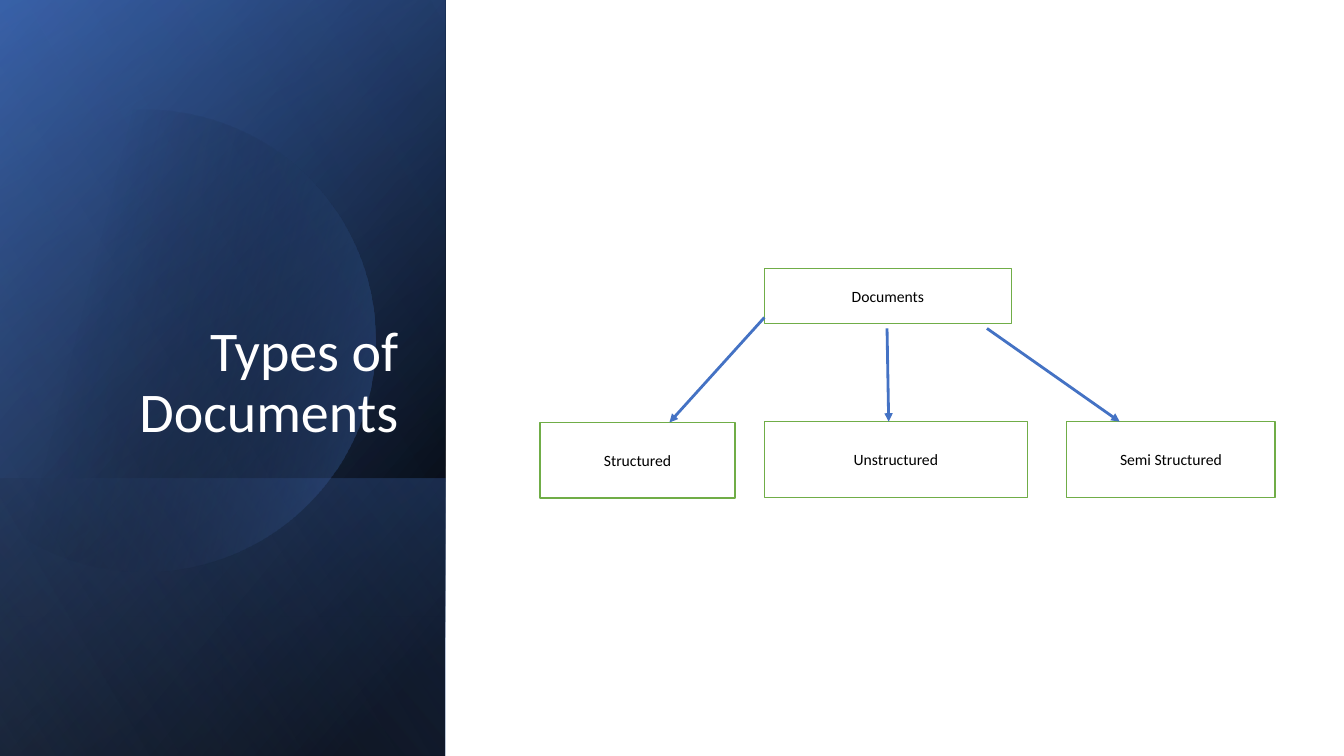
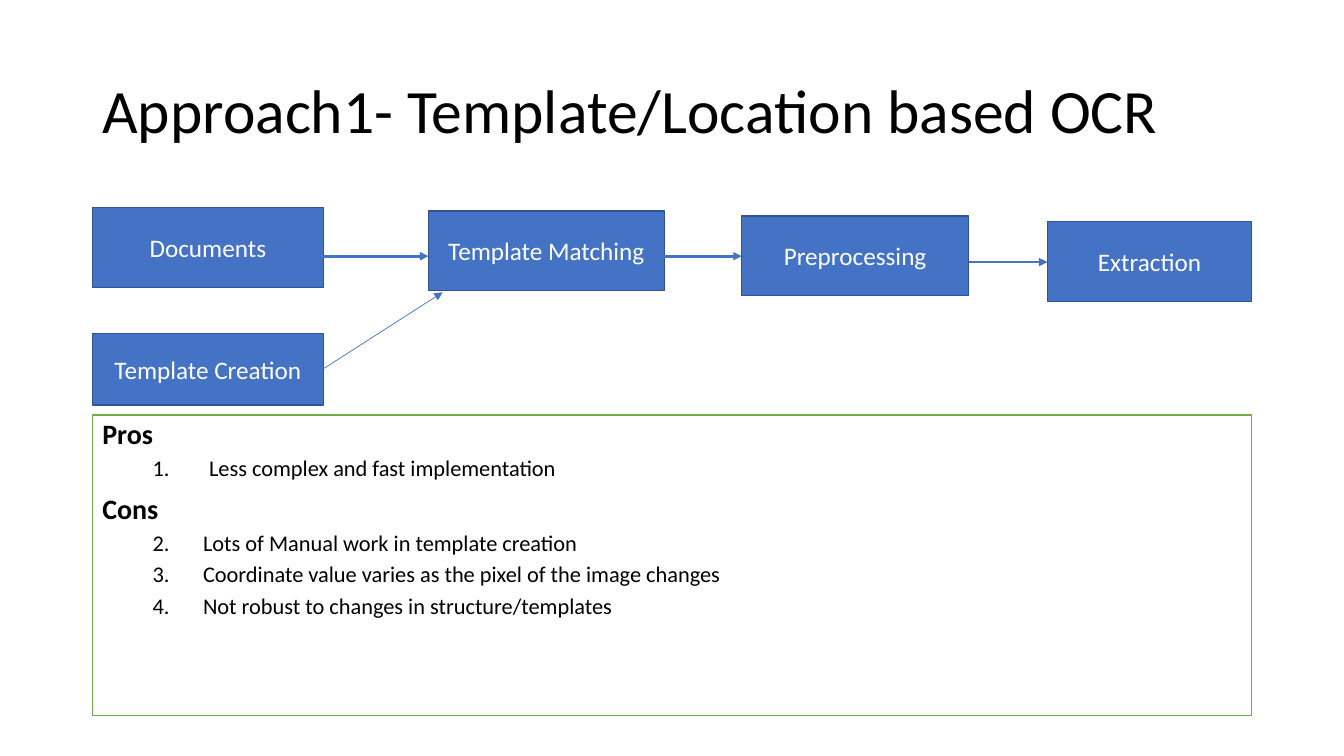
from math import acos, cos, sin

from lxml.etree import SubElement
from pptx import Presentation
from pptx.dml.color import RGBColor
from pptx.enum.shapes import MSO_CONNECTOR, MSO_SHAPE
from pptx.enum.text import MSO_ANCHOR as Anchor, PP_ALIGN as Align
from pptx.oxml.ns import qn
from pptx.util import Inches, Pt

COLORS = {
    "white": "FFFFFF",
    "black": "000000",
    "blue": "4472C4",
    "navy": "2F5597",
    "sky": "8FAADC",
    "edge": "325491",
    "green": "70AD47",
}
FONT = "Calibri"
COLUMNS, ROWS = 160, 90
CELL = Inches(7.5) / ROWS


def cells(*counts):
    return [round(count * CELL) for count in counts]


def rgb(name):
    return RGBColor.from_string(COLORS[name])


class Deck:
    def __init__(self):
        self.prs = Presentation()
        self.prs.slide_width, self.prs.slide_height = cells(COLUMNS, ROWS)
        self.shapes = None

    def new_slide(self):
        self.shapes = self.prs.slides.add_slide(self.prs.slide_layouts[6]).shapes

    def add_text(self, paragraph, text, size, color="black", bold=False):
        run = paragraph.add_run()
        run.text = text
        run.font.name = FONT
        run.font.size = Pt(size)
        run.font.bold = bold
        run.font.color.rgb = rgb(color)

    def title(self, text, area, size, color, align, anchor):
        frame = self.shapes.add_textbox(*cells(*area)).text_frame
        frame.word_wrap = True
        frame.vertical_anchor = anchor
        heading = frame.paragraphs[0]
        heading.alignment = align
        heading.line_spacing = 0.9
        self.add_text(heading, text, size, color)

    def rect(self, area, fill, edge):
        shape = self.shapes.add_shape(MSO_SHAPE.RECTANGLE, *cells(*area))
        shape.shadow.inherit = False
        shape.fill.solid()
        shape.fill.fore_color.rgb = rgb(fill)
        shape.line.color.rgb = rgb(edge)
        shape.line.width = Pt(1)
        return shape

    def box(self, text, area, fill, edge, size, color, after=0):
        frame = self.rect(area, fill, edge).text_frame
        frame.word_wrap = True
        frame.vertical_anchor = Anchor.MIDDLE
        label = frame.paragraphs[0]
        label.alignment = Align.CENTER
        label.space_after = Pt(after)
        self.add_text(label, text, size, color)

    def outlined(self, text, area):
        self.box(text, area, "white", "green", 11.2, "black", after=6)

    def solid(self, text, area):
        self.box(text, area, "blue", "edge", 18, "white")

    def gradient(self, shape, angle, stops):
        shape.shadow.inherit = False
        shape.line.fill.background()
        shape.fill.gradient()
        shape.fill.gradient_angle = 360 - angle
        for stop, (position, color, _) in zip(shape.fill.gradient_stops, stops):
            stop.position = position / 100
            stop.color.rgb = rgb(color)
        tints = shape._element.spPr.find(qn("a:gradFill")).iter(qn("a:srgbClr"))
        for tint, (_, _, opacity) in zip(tints, stops):
            SubElement(tint, qn("a:alpha"), val=str(opacity * 1000))

    def shade(self, area, angle, *stops):
        left, top, width, height = area
        turned = (left + (width - height) / 2, top + (height - width) / 2, height, width)
        shape = self.shapes.add_shape(MSO_SHAPE.RECTANGLE, *cells(*turned))
        shape.rotation = 90
        shape._element.spPr.find(qn("a:xfrm")).set("flipH", "1")
        self.gradient(shape, angle, stops)

    def cut_disc(self, x, y, radius, cut, angle, *stops):
        end = acos((cut - x) / radius)
        steps = 120
        turns = [end * (2 * step / steps - 1) for step in range(steps + 1)]
        rim = [cells(x + radius * cos(turn), y + radius * sin(turn)) for turn in turns]
        outline = self.shapes.build_freeform(*rim[0], scale=1.0)
        outline.add_line_segments(rim[1:], close=True)
        self.gradient(outline.convert_to_shape(), angle, stops)

    def arrow(self, start, end, width=2):
        link = self.shapes.add_connector(MSO_CONNECTOR.STRAIGHT, *cells(*start, *end))
        link.line.color.rgb = rgb("blue")
        link.line.width = Pt(width)
        properties = link._element.spPr
        SubElement(properties.find(qn("a:ln")), qn("a:tailEnd"), type="triangle")
        SubElement(properties, qn("a:effectLst"))

    def review(self, area, sections):
        frame = self.rect(area, "white", "green").text_frame
        frame.word_wrap = True
        frame.vertical_anchor = Anchor.TOP
        number = 1
        paragraph = frame.paragraphs[0]
        for heading, margin, hanging, points in sections:
            if number > 1:
                paragraph = frame.add_paragraph()
            self.space(paragraph, 10)
            self.add_text(paragraph, heading, 20, bold=True)
            for point in points:
                paragraph = frame.add_paragraph()
                paragraph.level = 1
                self.space(paragraph, 5)
                properties = paragraph._p.get_or_add_pPr()
                properties.set("marL", str(Inches(margin)))
                properties.set("indent", str(-Inches(hanging)))
                SubElement(properties, qn("a:buFont"), typeface="+mj-lt")
                SubElement(properties, qn("a:buAutoNum"), type="arabicPeriod",
                           startAt=str(number))
                self.add_text(paragraph, point, 16)
            number += len(points)

    def space(self, paragraph, before):
        paragraph.alignment = Align.LEFT
        paragraph.line_spacing = 0.9
        paragraph.space_before = Pt(before)


deck = Deck()

deck.new_slide()
panel = (0, 0, 53, ROWS)
deck.shade(panel, 50, (8, "black", 100), (100, "navy", 100))
deck.shade(panel, 30, (0, "black", 0), (99, "blue", 46))
deck.shade((0, 57, 53, 33), 130, (2, "blue", 29), (100, "black", 30))
deck.cut_disc(17.2, 40.6, 27.5, -1.8, 14, (29, "black", 0), (100, "blue", 43))
deck.shade(panel, 120, (0, "black", 0), (99, "sky", 11))
deck.title("Types of Documents", (7.7, 22.1, 40.9, 31.4), 40, "white",
           Align.RIGHT, Anchor.BOTTOM)
deck.outlined("Documents", (91, 32, 29.4, 6.5))
for kind, left, top, width in (
    ("Structured", 64.3, 50.3, 23.2),
    ("Unstructured", 91, 50.2, 31.3),
    ("Semi Structured", 127, 50.2, 24.8),
):
    deck.outlined(kind, (left, top, width, 9))
for start, end in (
    ((91, 37.8), (79.7, 50.3)),
    ((105.6, 39.1), (105.8, 50.2)),
    ((117.5, 39.1), (133.3, 50.2)),
):
    deck.arrow(start, end)

deck.new_slide()
deck.title("Approach1- Template/Location based OCR", (11, 4.8, 138, 17.4), 44,
           "black", Align.LEFT, Anchor.MIDDLE)
deck.review((11, 49.4, 138, 35.8), (
    ("Pros", 1.06, 0.56, ("Less complex and fast implementation",)),
    ("Cons", 1, 0.5, (
        "Lots of Manual work in template creation",
        "Coordinate value varies as the pixel of the image changes",
        "Not robust to changes in structure/templates",
    )),
))
stages = (
    ("Documents", 11, 24.7, 27.5),
    ("Template Matching", 51, 25.1, 28.1),
    ("Preprocessing", 88.3, 25.7, 27),
    ("Extraction", 124.7, 26.4, 24.3),
)
for stage, left, top, width in stages:
    deck.solid(stage, (left, top, width, 9.5))
for (_, left, _, width), following, level in zip(stages, stages[1:], (30.5, 30.5, 31.2)):
    deck.arrow((left + width, level), (following[1], level))
deck.solid("Template Creation", (11, 39.7, 27.5, 8.5))
deck.arrow((38.5, 43.9), (52.7, 34.8), width=0.5)

deck.prs.save("out.pptx")
